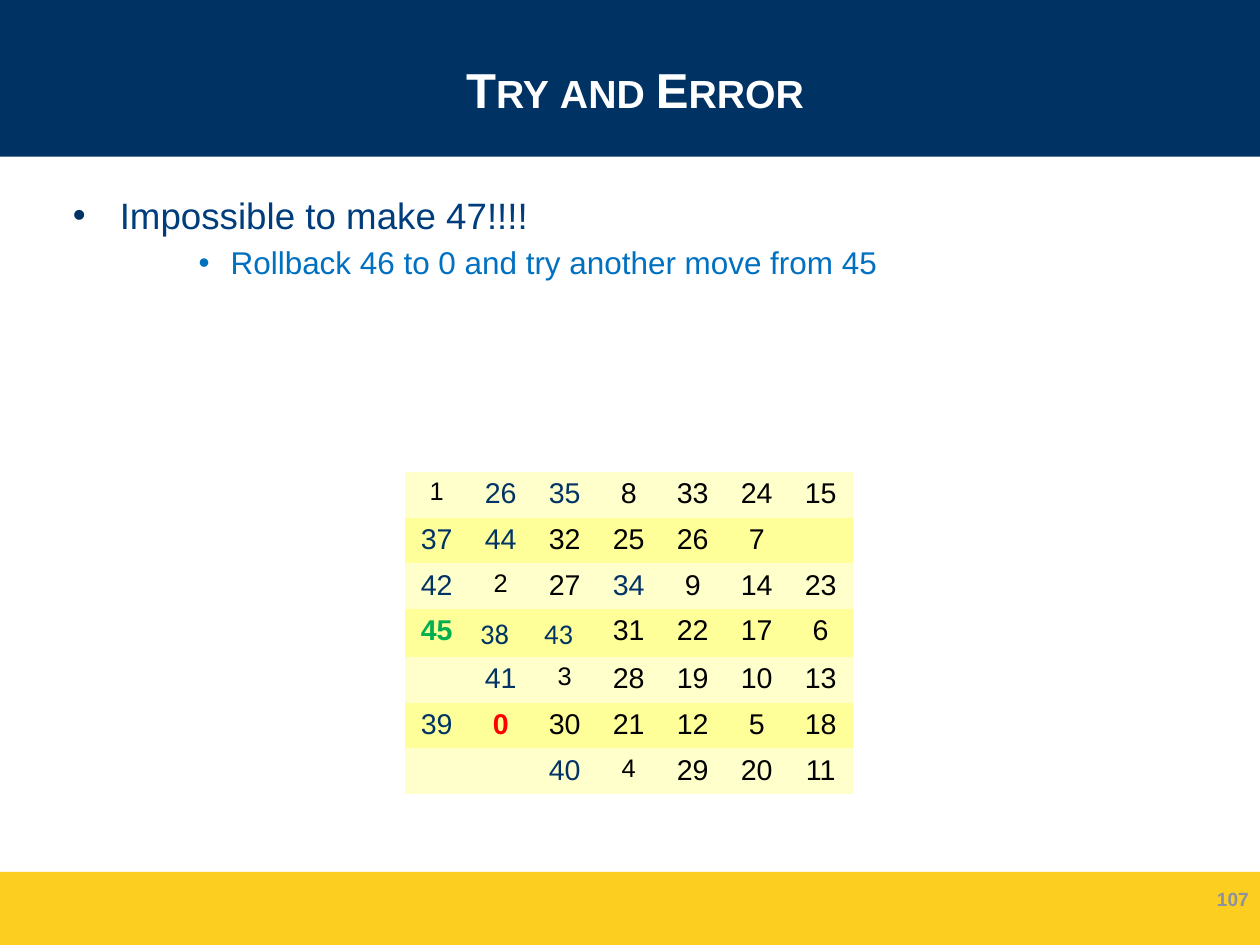
from dataclasses import dataclass

import pptx
import pptx.dml.color
import pptx.enum.shapes
import pptx.enum.text
import pptx.oxml.ns
import pptx.util
from lxml import etree

ALIGN = pptx.enum.text.PP_ALIGN
ANCHOR = pptx.enum.text.MSO_ANCHOR
SLIDE_WIDTH = pptx.util.Cm(28)
SLIDE_HEIGHT = pptx.util.Cm(21)


@dataclass(frozen=True)
class Theme:
    font: str = "Arial"
    alternate_font: str = "Calibri"
    header: str = "003264"
    footer: str = "FBCE20"
    white: str = "FFFFFF"
    black: str = "000000"
    point: str = "003D7C"
    subpoint: str = "0070C0"
    page_number: str = "8C90A0"
    late_move: str = "003366"
    current_move: str = "00B050"
    undone_move: str = "FF0000"
    bands: tuple = ("FFFFCC", "FFFF99")
    title_size: float = 30.9
    point_size: float = 23.1
    subpoint_size: float = 19.8
    page_number_size: float = 12
    move_size: float = 18
    first_move_size: float = 16


THEME = Theme()

# Moves on the board; None is a square not yet visited
BOARD = [
    [1, 26, 35, 8, 33, 24, 15],
    [37, 44, 32, 25, 26, 7, None],
    [42, 2, 27, 34, 9, 14, 23],
    [45, 38, 43, 31, 22, 17, 6],
    [None, 41, 3, 28, 19, 10, 13],
    [39, 0, 30, 21, 12, 5, 18],
    [None, None, 40, 4, 29, 20, 11],
]
FIRST_MOVES = range(1, 5)
FIRST_LATE_MOVE = 34
CURRENT_MOVE, UNDONE_MOVE = 45, 0
REPEATED_LATE_SQUARE = (0, 1)
ALTERNATE_FONT_MOVES = (38, 43)


def area(left, top, width, height):
    """Turn percentages of the slide's size into lengths."""
    return (int(SLIDE_WIDTH * left / 100), int(SLIDE_HEIGHT * top / 100),
            int(SLIDE_WIDTH * width / 100), int(SLIDE_HEIGHT * height / 100))


def rgb(colour):
    return pptx.dml.color.RGBColor.from_string(colour)


def add_child(parent, tag, **attributes):
    child = etree.SubElement(parent, pptx.oxml.ns.qn(tag))
    for name, value in attributes.items():
        child.set(name, str(value))
    return child


def style(paragraph, size, colour, bold=False, font=THEME.font):
    paragraph.font.name = font
    paragraph.font.size = pptx.util.Pt(size)
    paragraph.font.bold = bold
    paragraph.font.color.rgb = rgb(colour)


def add_band(slide, top, height, colour):
    band = slide.shapes.add_shape(
        pptx.enum.shapes.MSO_SHAPE.RECTANGLE, *area(0, top, 100, height))
    band.shadow.inherit = False
    band.fill.solid()
    band.fill.fore_color.rgb = rgb(colour)
    band.line.fill.background()


def add_text(slide, place, anchor=ANCHOR.MIDDLE):
    frame = slide.shapes.add_textbox(*area(*place)).text_frame
    frame.word_wrap = True
    frame.vertical_anchor = anchor
    return frame


def add_title(slide, wording):
    title = add_text(slide, (4.9, 2.18, 91.02, 14.39)).paragraphs[0]
    title.text = wording
    title.alignment = ALIGN.CENTER
    style(title, THEME.title_size, THEME.white, bold=True)
    title.runs[0]._r.get_or_add_rPr().set("cap", "small")


def add_bullet(paragraph, wording, level, indent, hanging, size, colour,
               bullet_colour):
    paragraph.text = wording
    paragraph.level = level
    paragraph.space_before = pptx.util.Pt(0.2 * size)
    properties = paragraph._p.get_or_add_pPr()
    properties.set("marL", str(pptx.util.Inches(indent)))
    properties.set("indent", str(-pptx.util.Inches(hanging)))
    bullet = add_child(properties, "a:buClr")
    add_child(bullet, "a:srgbClr", val=bullet_colour)
    add_child(properties, "a:buFont", typeface=THEME.font)
    add_child(properties, "a:buChar", char="•")
    style(paragraph, size, colour)


def add_points(slide):
    frame = add_text(slide, (4.9, 19.83, 91.02, 72.91), ANCHOR.TOP)
    add_bullet(frame.paragraphs[0], "Impossible to make 47!!!!", 0, 0.41, 0.41,
               THEME.point_size, THEME.point, THEME.header)
    add_bullet(frame.add_paragraph(),
               "Rollback 46 to 0 and try another move from 45", 2, 1.38, 0.28,
               THEME.subpoint_size, THEME.subpoint, THEME.subpoint)


def add_page_number(slide, number):
    page = add_text(slide, (76.68, 92.62, 23.32, 5.32)).paragraphs[0]
    page.text = number
    page.alignment = ALIGN.RIGHT
    page.line_spacing = 0.93
    style(page, THEME.page_number_size, THEME.page_number, bold=True)


def move_colour(move, square):
    if move == CURRENT_MOVE:
        return THEME.current_move
    if move == UNDONE_MOVE:
        return THEME.undone_move
    if move >= FIRST_LATE_MOVE or square == REPEATED_LATE_SQUARE:
        return THEME.late_move
    return THEME.black


def write_move(cell, move, square):
    cell.margin_left = cell.margin_right = pptx.util.Inches(0.1)
    cell.margin_top = pptx.util.Inches(0.07)
    cell.margin_bottom = pptx.util.Inches(0.05)
    label = cell.text_frame.paragraphs[0]
    label.text = str(move)
    size = THEME.first_move_size if move in FIRST_MOVES else THEME.move_size
    font = THEME.font
    if move in ALTERNATE_FONT_MOVES:
        font = THEME.alternate_font
    else:
        label.alignment = ALIGN.CENTER
        label.line_spacing = 0.93
    style(label, size, move_colour(move, square),
          bold=move in (CURRENT_MOVE, UNDONE_MOVE), font=font)
    # The paragraph's end mark also sets the row's height
    end_mark = add_child(label._p, "a:endParaRPr", sz=int(size * 100))
    add_child(end_mark, "a:latin", typeface=font)


def paint_square(cell, colour):
    properties = cell._tc.get_or_add_tcPr()
    for side in ("a:lnL", "a:lnR", "a:lnT", "a:lnB"):
        edge = add_child(properties, side, w=pptx.util.Pt(0.03))
        add_child(add_child(edge, "a:solidFill"), "a:srgbClr", val=THEME.white)
    cell.fill.solid()
    cell.fill.fore_color.rgb = rgb(colour)


def add_board(slide):
    board = slide.shapes.add_table(
        len(BOARD), len(BOARD[0]), *area(32.12, 49.94, 35.57, 29.62)).table
    board.first_row = board.horz_banding = False
    for row, moves in enumerate(BOARD):
        for column, move in enumerate(moves):
            cell = board.cell(row, column)
            paint_square(cell, THEME.bands[row % 2])
            if move is not None:
                write_move(cell, move, (row, column))


def main():
    deck = pptx.Presentation()
    deck.slide_width, deck.slide_height = SLIDE_WIDTH, SLIDE_HEIGHT
    slide = deck.slides.add_slide(deck.slide_layouts[6])
    # Footer and header bands
    add_band(slide, 92.26, 7.74, THEME.footer)
    add_band(slide, 0, 16.57, THEME.header)
    # Wording
    add_title(slide, "Try and Error")
    add_points(slide)
    add_page_number(slide, "107")
    # Board of moves
    add_board(slide)
    deck.save("out.pptx")


if __name__ == "__main__":
    main()
